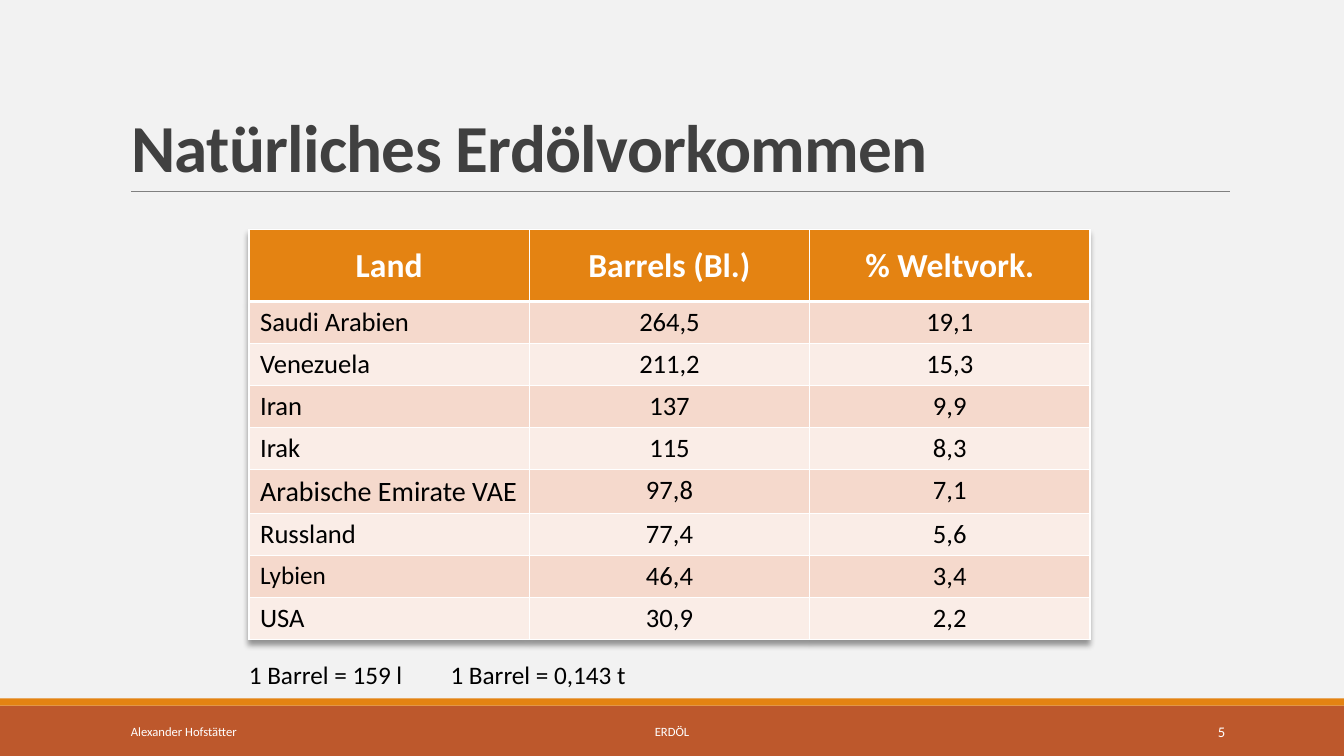
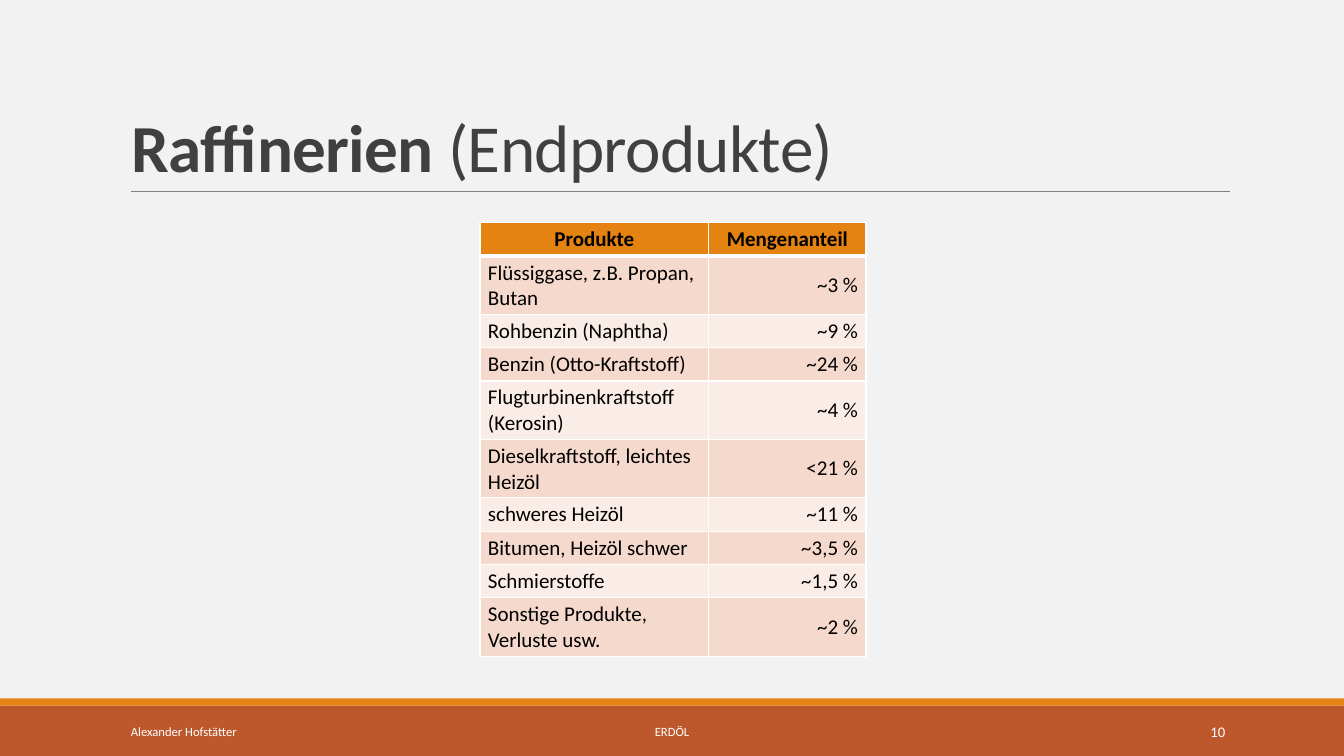
"""Build two slides on crude oil: natural reserves and refinery products."""
from lxml import etree
from pptx import Presentation
from pptx.dml.color import RGBColor
from pptx.enum.shapes import MSO_CONNECTOR as LINK, MSO_SHAPE as SHAPE
from pptx.enum.text import MSO_ANCHOR as ANCHOR, MSO_AUTO_SIZE as FIT, PP_ALIGN as ALIGN
from pptx.oxml import parse_xml
from pptx.oxml.ns import nsdecls, qn
from pptx.util import Inches, Pt

PAPER = RGBColor(0xF2, 0xF2, 0xF2)
RUST = RGBColor(0xBD, 0x58, 0x2C)
ORANGE = RGBColor(0xE4, 0x83, 0x12)
GREY = RGBColor(0x80, 0x80, 0x80)
DARK = RGBColor(0x40, 0x40, 0x40)
WHITE = RGBColor(0xFF, 0xFF, 0xFF)
BLACK = RGBColor(0x00, 0x00, 0x00)
ROSE = RGBColor(0xF5, 0xD9, 0xCC)
BLUSH = RGBColor(0xFA, 0xED, 0xE7)

LEFT, MID, RIGHT = ALIGN.LEFT, ALIGN.CENTER, ALIGN.RIGHT
BANDS = [(7, 0.5, RUST), (6.93, 0.07, ORANGE)]

PAGES = [
    {
        "title": [("Natürliches Erdölvorkommen", True)],
        "number": "5",
        "place": (2.47, 2.28),
        "cols": [2.78] * 3,
        "rows": [0.71] + [0.41] * 8,
        "aligns": [LEFT, MID, MID],
        "inset": (0.11, 0.05),
        "anchor": ANCHOR.TOP,
        "head": (24, WHITE),
        "size": 19,
        "sizes": {"Arabische Emirate VAE": 20, "Lybien": 18},
        "shadow": True,
        "note": "1 Barrel = 159 l\t1 Barrel = 0,143 t",
        "cells": [
            ("Land", "Barrels (Bl.)", "% Weltvork."),
            ("Saudi Arabien", "264,5", "19,1"),
            ("Venezuela", "211,2", "15,3"),
            ("Iran", "137", "9,9"),
            ("Irak", "115", "8,3"),
            ("Arabische Emirate VAE", "97,8", "7,1"),
            ("Russland", "77,4", "5,6"),
            ("Lybien", "46,4", "3,4"),
            ("USA", "30,9", "2,2"),
        ],
    },
    {
        "title": [("Raffinerien ", True), ("(Endprodukte)", False)],
        "number": "10",
        "place": (4.76, 2.21),
        "cols": [2.27, 1.56],
        "rows": [0.33, 0.58, 0.33, 0.33, 0.58, 0.58, 0.33, 0.33, 0.33, 0.58],
        "aligns": [LEFT, RIGHT],
        "inset": (0.08, 0.04),
        "anchor": ANCHOR.MIDDLE,
        "head": (15, BLACK),
        "size": 15,
        "sizes": {},
        "shadow": False,
        "note": None,
        "cells": [
            ("Produkte", "Mengenanteil"),
            ("Flüssiggase, z.B. Propan, Butan", "~3 %"),
            ("Rohbenzin (Naphtha)", "~9 %"),
            ("Benzin (Otto-Kraftstoff)", "~24 %"),
            ("Flugturbinenkraftstoff (Kerosin)", "~4 %"),
            ("Dieselkraftstoff, leichtes Heizöl", "<21 %"),
            ("schweres Heizöl", "~11 %"),
            ("Bitumen, Heizöl schwer", "~3,5 %"),
            ("Schmierstoffe", "~1,5 %"),
            ("Sonstige Produkte, Verluste usw.", "~2 %"),
        ],
    },
]


def write(par, text, size, color, bold=False):
    """Add a styled run to a paragraph and return it."""
    run = par.add_run()
    run.text = text
    for key, value in {"name": "Calibri", "size": Pt(size), "bold": bold}.items():
        setattr(run.font, key, value)
    run.font.color.rgb = color
    return run


def label(slide, box, text, size, color, align=LEFT, anchor=ANCHOR.MIDDLE):
    """Add a text box with one line of text."""
    frame = slide.shapes.add_textbox(*map(Inches, box)).text_frame
    frame.word_wrap = True
    frame.vertical_anchor = anchor
    par = frame.paragraphs[0]
    par.alignment = align
    write(par, text, size, color)


prs = Presentation()
prs.slide_width, prs.slide_height = Inches(13.33), Inches(7.5)
back = prs.slide_master.background.fill
back.solid()
back.fore_color.rgb = PAPER

for page in PAGES:
    slide = prs.slides.add_slide(prs.slide_layouts[5])

    for top, height, color in BANDS:
        band = slide.shapes.add_shape(
            SHAPE.RECTANGLE, 0, Inches(top), prs.slide_width, Inches(height))
        band.shadow.inherit = False
        band.fill.solid()
        band.fill.fore_color.rgb = color
        band.line.fill.background()

    rule = slide.shapes.add_connector(
        LINK.STRAIGHT, Inches(1.3), Inches(1.9), Inches(12.2), Inches(1.9))
    rule.line.color.rgb = GREY
    rule.line.width = Pt(0.5)
    etree.SubElement(rule._element.spPr, qn("a:effectLst"))

    title = slide.shapes.title
    for key, value in zip(("left", "top", "width", "height"), (1.2, 0.31, 11, 1.59)):
        setattr(title, key, Inches(value))
    frame = title.text_frame
    for key, value in {"vertical_anchor": ANCHOR.BOTTOM, "word_wrap": True,
                       "auto_size": FIT.NONE}.items():
        setattr(frame, key, value)
    par = frame.paragraphs[0]
    par.alignment = LEFT
    par.line_spacing = 0.85
    for text, bold in page["title"]:
        run = write(par, text, 48, DARK, bold)
        run._r.get_or_add_rPr().set("spc", "-50")

    for left, width, text, size, align in [
            (1.2, 2.7, "Alexander Hofstätter", 9, LEFT),
            (4.03, 5.27, "ERDÖL", 9, MID),
            (10.82, 1.43, page["number"], 10.5, RIGHT)]:
        label(slide, (left, 7.06, width, 0.4), text, size, WHITE, align)

    cols, rows = page["cols"], page["rows"]
    box = (*page["place"], sum(cols), sum(rows))
    table = slide.shapes.add_table(len(rows), len(cols), *map(Inches, box)).table
    table.horz_banding = False
    for col, width in zip(table.columns, cols):
        col.width = Inches(width)
    for row, height in zip(table.rows, rows):
        row.height = Inches(height)
    if page["shadow"]:
        table._tbl.tblPr.insert(0, parse_xml(
            f'<a:effectLst {nsdecls("a")}><a:outerShdw blurRad="50800" dist="38100" '
            'dir="5400000" algn="t" rotWithShape="0"><a:srgbClr val="000000">'
            '<a:alpha val="40000"/></a:srgbClr></a:outerShdw></a:effectLst>'))

    side, edge = map(Inches, page["inset"])
    for r, texts in enumerate(page["cells"]):
        head = r == 0
        for c, text in enumerate(texts):
            cell = table.cell(r, c)
            for key, value in {
                    "margin_left": side, "margin_right": side,
                    "margin_top": edge, "margin_bottom": edge,
                    "vertical_anchor": ANCHOR.MIDDLE if head else page["anchor"]}.items():
                setattr(cell, key, value)
            thick = {"B": 3 if head else 1, "T": 3 if r == 1 else 1}
            for border in "LRTB":
                width = Pt(thick.get(border, 1))
                cell._tc.get_or_add_tcPr().append(parse_xml(
                    f'<a:ln{border} {nsdecls("a")} w="{width}"><a:solidFill>'
                    f'<a:srgbClr val="{WHITE}"/></a:solidFill></a:ln{border}>'))
            cell.fill.solid()
            cell.fill.fore_color.rgb = ORANGE if head else ROSE if r % 2 else BLUSH
            par = cell.text_frame.paragraphs[0]
            par.alignment = MID if head else page["aligns"][c]
            size, color = page["head"] if head else (
                page["sizes"].get(text, page["size"]), BLACK)
            write(par, text, size, color, head)

    if page["note"]:
        label(slide, (2.37, 6.49, 4.73, 0.4), page["note"], 18, BLACK, anchor=ANCHOR.TOP)

prs.save("out.pptx")
